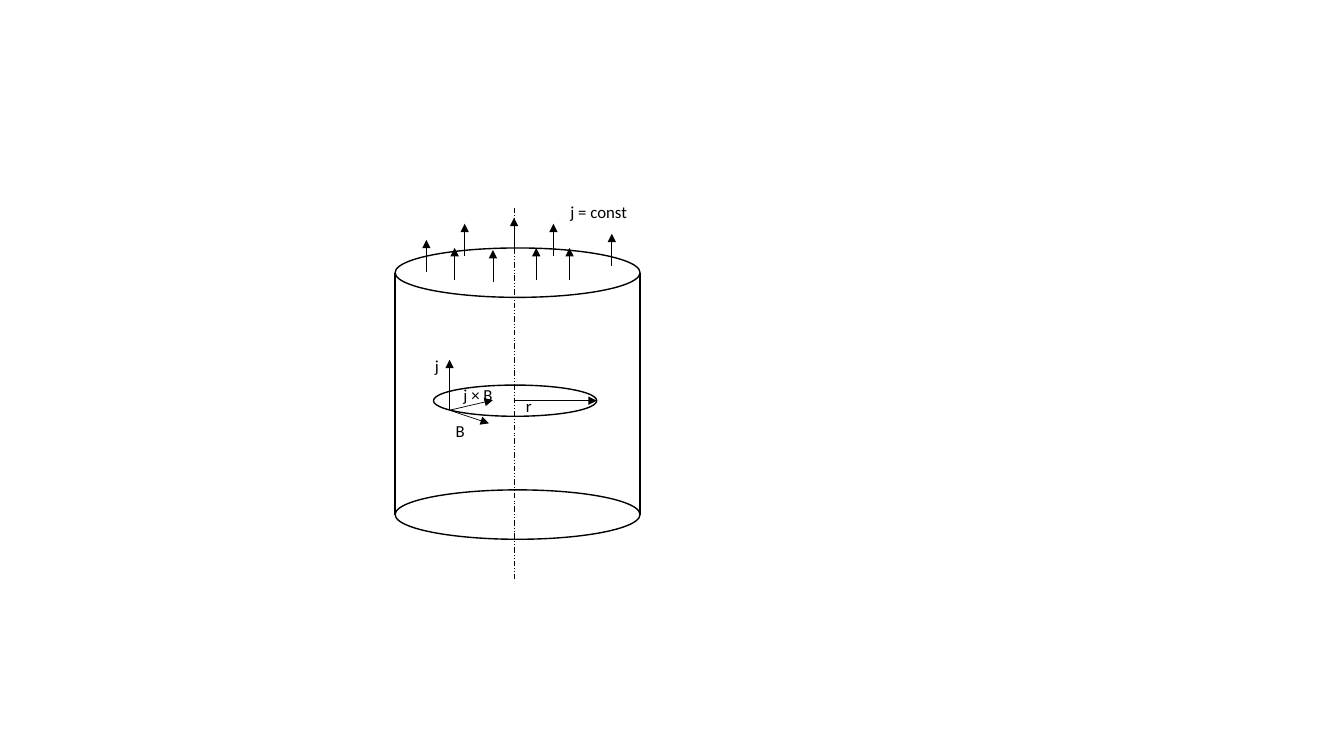
from dataclasses import dataclass

from lxml.etree import SubElement
from pptx import Presentation
from pptx.dml.color import RGBColor
from pptx.enum.dml import MSO_LINE
from pptx.enum.shapes import MSO_CONNECTOR, MSO_SHAPE
from pptx.enum.text import MSO_AUTO_SIZE, PP_ALIGN
from pptx.oxml.ns import qn
from pptx.slide import Slide
from pptx.util import Inches, Length, Pt

CELL = 0.1  # side of one grid square, in inches
COLUMNS, ROWS = 133.33, 75


@dataclass(frozen=True)
class Theme:
    ink: RGBColor = RGBColor(0, 0, 0)
    font: str = "Calibri"
    text_size: float = 12
    outline: float = 1
    thin: float = 0.5


@dataclass(frozen=True)
class Ring:
    column: float
    row: float
    width: float
    height: float


@dataclass(frozen=True)
class Stroke:
    start: tuple[float, float]
    end: tuple[float, float]
    weight: float
    arrow: bool = False
    dash: MSO_LINE | None = None


@dataclass(frozen=True)
class Label:
    text: str
    column: float
    row: float
    width: float = 1.5
    inset: float = 0
    align: PP_ALIGN = PP_ALIGN.CENTER


THEME = Theme()


def grid(cells: float) -> Length:
    return Inches(cells * CELL)


def draw_ring(page: Slide, ring: Ring) -> None:
    oval = page.shapes.add_shape(
        MSO_SHAPE.OVAL, grid(ring.column), grid(ring.row), grid(ring.width), grid(ring.height)
    )
    oval.shadow.inherit = False
    oval.fill.background()
    oval.line.color.rgb = THEME.ink
    oval.line.width = Pt(THEME.outline)


def draw_stroke(page: Slide, stroke: Stroke) -> None:
    line = page.shapes.add_connector(
        MSO_CONNECTOR.STRAIGHT, *(grid(cells) for cells in stroke.start + stroke.end)
    )
    line.line.color.rgb = THEME.ink
    line.line.width = Pt(stroke.weight)
    if stroke.dash is not None:
        line.line.dash_style = stroke.dash
    properties = line._element.spPr
    if stroke.arrow:
        SubElement(properties.find(qn("a:ln")), qn("a:tailEnd"), type="triangle")
    SubElement(properties, qn("a:effectLst"))


def draw_label(page: Slide, label: Label) -> None:
    box = page.shapes.add_textbox(grid(label.column), grid(label.row), grid(label.width), grid(3))
    frame = box.text_frame
    frame.word_wrap = True
    frame.auto_size = MSO_AUTO_SIZE.SHAPE_TO_FIT_TEXT
    frame.margin_left = frame.margin_right = grid(label.inset)
    para = frame.paragraphs[0]
    para.alignment = label.align
    span = para.add_run()
    span.text = label.text
    span.font.name = THEME.font
    span.font.size = Pt(THEME.text_size)
    span.font.color.rgb = THEME.ink


# Cylinder: two end faces, two walls and the axis
LEFT, DIAMETER, FACE_HEIGHT = 39.2, 24.3, 4.9
FACE_ROWS = (24.6, 48.6)
AXIS = 51
WALL_TOP, WALL_BOTTOM = (row + FACE_HEIGHT / 2 for row in FACE_ROWS)

# Field loop around the axis
LOOP = Ring(43, 38.2, 16.2, 3.1)
LOOP_MIDDLE = LOOP.row + LOOP.height / 2
FIELD_POINT = (44.6, 40.7)

RINGS = [*(Ring(LEFT, row, DIAMETER, FACE_HEIGHT) for row in FACE_ROWS), LOOP]

WALLS = [
    Stroke((column, WALL_TOP), (column, WALL_BOTTOM), THEME.outline)
    for column in (LEFT, LEFT + DIAMETER)
]
AXIS_LINE = Stroke((AXIS, 20.6), (AXIS, 57.4), THEME.thin, dash=MSO_LINE.DASH_DOT_DOT)

# Vectors j, j × B and B at the field point, then the radius
VECTORS = [
    Stroke(FIELD_POINT, tip, THEME.thin, arrow=True)
    for tip in ((44.6, 35.7), (48.9, 39.7), (48.5, 42))
]
RADIUS = Stroke(
    (AXIS, LOOP_MIDDLE), (LOOP.column + LOOP.width, LOOP_MIDDLE), THEME.thin, arrow=True
)

# Uniform current leaving the top face: column and row of each arrow's foot
CURRENT_LENGTH = 3.2
CURRENT_FEET = [
    (42.3, 27), (46.1, 25.4), (54.9, 25.4), (60.7, 26.4), (48.9, 28),
    (56.5, 27.8), (45.1, 27.8), (53.2, 27.8), (AXIS, 24.8),
]
CURRENT = [
    Stroke((column, row), (column, row - CURRENT_LENGTH), THEME.thin, arrow=True)
    for column, row in CURRENT_FEET
]

LABELS = [
    Label("j", 42.6, 34.8),
    Label("B", 44.9, 41.2),
    Label("j × B", 45, 37.7, 5.6, 1, PP_ALIGN.LEFT),
    Label("r", 51.7, 38.8),
    Label("j = const", 55.6, 19.5, 9.9, 1, PP_ALIGN.LEFT),
]


def main() -> None:
    deck = Presentation()
    deck.slide_width, deck.slide_height = grid(COLUMNS), grid(ROWS)
    page = deck.slides.add_slide(deck.slide_layouts[6])
    for ring in RINGS:
        draw_ring(page, ring)
    for stroke in [*WALLS, AXIS_LINE, *VECTORS, RADIUS, *CURRENT]:
        draw_stroke(page, stroke)
    for label in LABELS:
        draw_label(page, label)
    deck.save("out.pptx")


if __name__ == "__main__":
    main()
